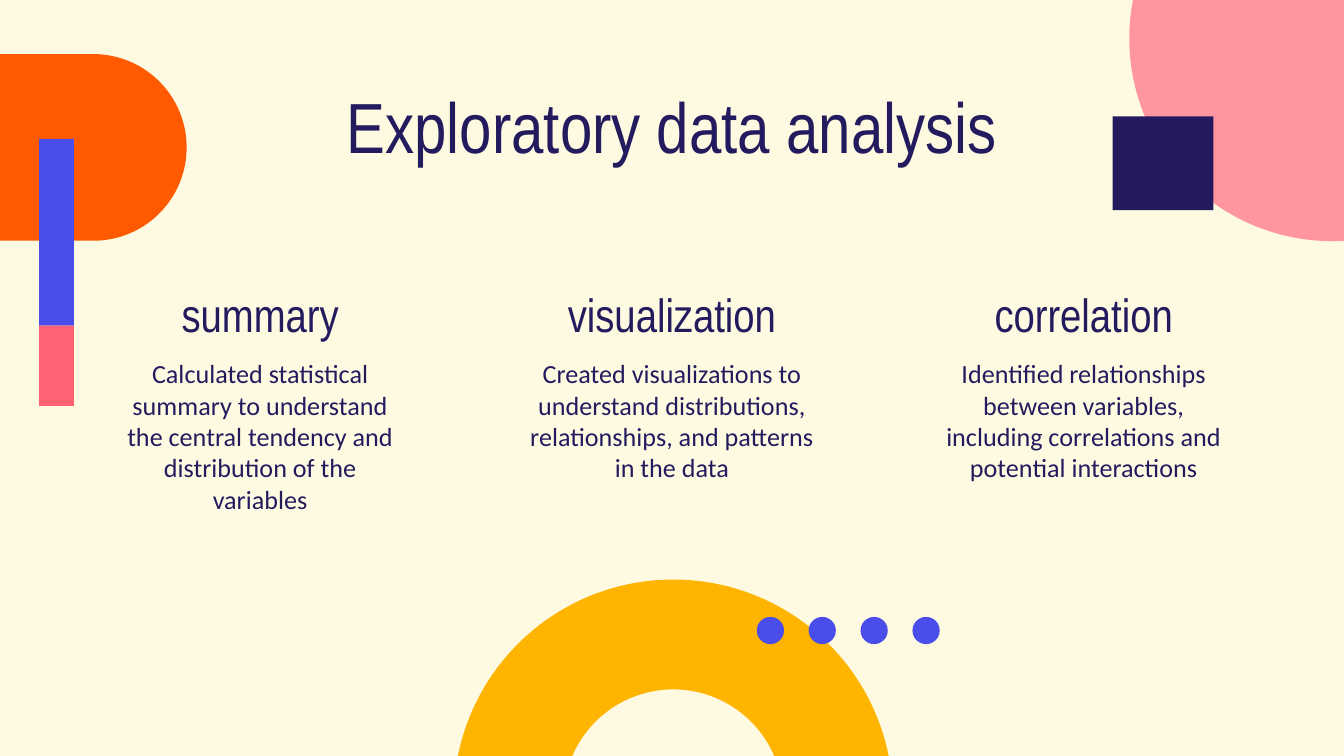
from pptx import Presentation
from pptx.dml.color import RGBColor
from pptx.enum.shapes import MSO_SHAPE as Shape
from pptx.enum.text import MSO_ANCHOR as Anchor, PP_ALIGN as Align
from pptx.util import Pt

CREAM = RGBColor(0xFD, 0xFA, 0xE1)
NAVY = RGBColor(0x24, 0x1B, 0x5F)
ORANGE = RGBColor(0xFF, 0x5A, 0x00)
BLUE = RGBColor(0x4A, 0x4D, 0xE9)
CORAL = RGBColor(0xFF, 0x62, 0x73)
PINK = RGBColor(0xFF, 0x95, 0xA1)
AMBER = RGBColor(0xFF, 0xB4, 0x00)

HEADING_FONT = "Arial Narrow"
BODY_FONT = "Calibri"

COLUMNS = [
    ("summary", "Calculated statistical summary to understand the central "
     "tendency and distribution of the variables"),
    ("visualization", "Created visualizations to understand distributions, "
     "relationships, and patterns in the data"),
    ("correlation", "Identified relationships between variables, including "
     "correlations and potential interactions"),
]
COLUMN_LEFT, COLUMN_STEP, COLUMN_WIDTH = 56.2, 220.6, 166.3
DOT_LEFT, DOT_STEP, DOT_SIZE = 405.4, 27.8, 14.6


def write_text(frame, text, font=BODY_FONT, size=14, color=NAVY, spacing=None):
    paragraph = frame.paragraphs[0]
    paragraph.alignment = Align.CENTER
    paragraph.line_spacing = spacing
    run = paragraph.add_run()
    run.text = text
    run.font.name = font
    run.font.size = Pt(size)
    run.font.color.rgb = color


class SlideBuilder:
    def __init__(self, slide, background):
        self.slide = slide
        slide.background.fill.solid()
        slide.background.fill.fore_color.rgb = background

    def shape(self, kind, left, top, width, height, color):
        shape = self.slide.shapes.add_shape(
            kind, Pt(left), Pt(top), Pt(width), Pt(height))
        shape.shadow.inherit = False
        shape.fill.solid()
        shape.fill.fore_color.rgb = color
        shape.line.fill.background()
        return shape

    def text(self, text, left, top, width, height, anchor=Anchor.TOP,
             inset=7.2, **text_format):
        box = self.slide.shapes.add_textbox(
            Pt(left), Pt(top), Pt(width), Pt(height))
        frame = box.text_frame
        frame.word_wrap = True
        frame.vertical_anchor = anchor
        frame.margin_left = frame.margin_right = Pt(7.2)
        frame.margin_top = frame.margin_bottom = Pt(inset)
        write_text(frame, text, **text_format)


def main():
    presentation = Presentation()
    presentation.slide_width = Pt(720)
    presentation.slide_height = Pt(405)
    slide = presentation.slides.add_slide(presentation.slide_layouts[6])
    builder = SlideBuilder(slide, CREAM)

    builder.text("Exploratory data analysis", 56.7, 46, 606.6, 56, inset=3.6,
                 font=HEADING_FONT, size=38, spacing=0.9)

    builder.shape(Shape.FLOWCHART_DELAY, 0, 29, 100, 100, ORANGE)
    builder.shape(Shape.RECTANGLE, 21, 74.5, 18.6, 100, BLUE)
    builder.shape(Shape.RECTANGLE, 21, 174.5, 18.6, 43, CORAL)
    builder.shape(Shape.OVAL, 605, -88, 217.2, 217.2, PINK)
    ring = builder.shape(Shape.DONUT, 243, 310.5, 235.4, 235.4, AMBER)
    ring.adjustments[0] = 0.25
    for index in range(4):
        builder.shape(Shape.OVAL, DOT_LEFT + index * DOT_STEP, 330.5,
                      DOT_SIZE, DOT_SIZE, BLUE)
    builder.shape(Shape.RECTANGLE, 596, 62.4, 54, 50.2, NAVY)

    for index, (heading, body) in enumerate(COLUMNS):
        left = COLUMN_LEFT + index * COLUMN_STEP
        builder.text(heading, left, 158.4, COLUMN_WIDTH, 31.7,
                     anchor=Anchor.BOTTOM, font=HEADING_FONT, size=25)
        builder.text(body, left, 184.4, COLUMN_WIDTH, 80)

    presentation.save("out.pptx")


if __name__ == "__main__":
    main()
